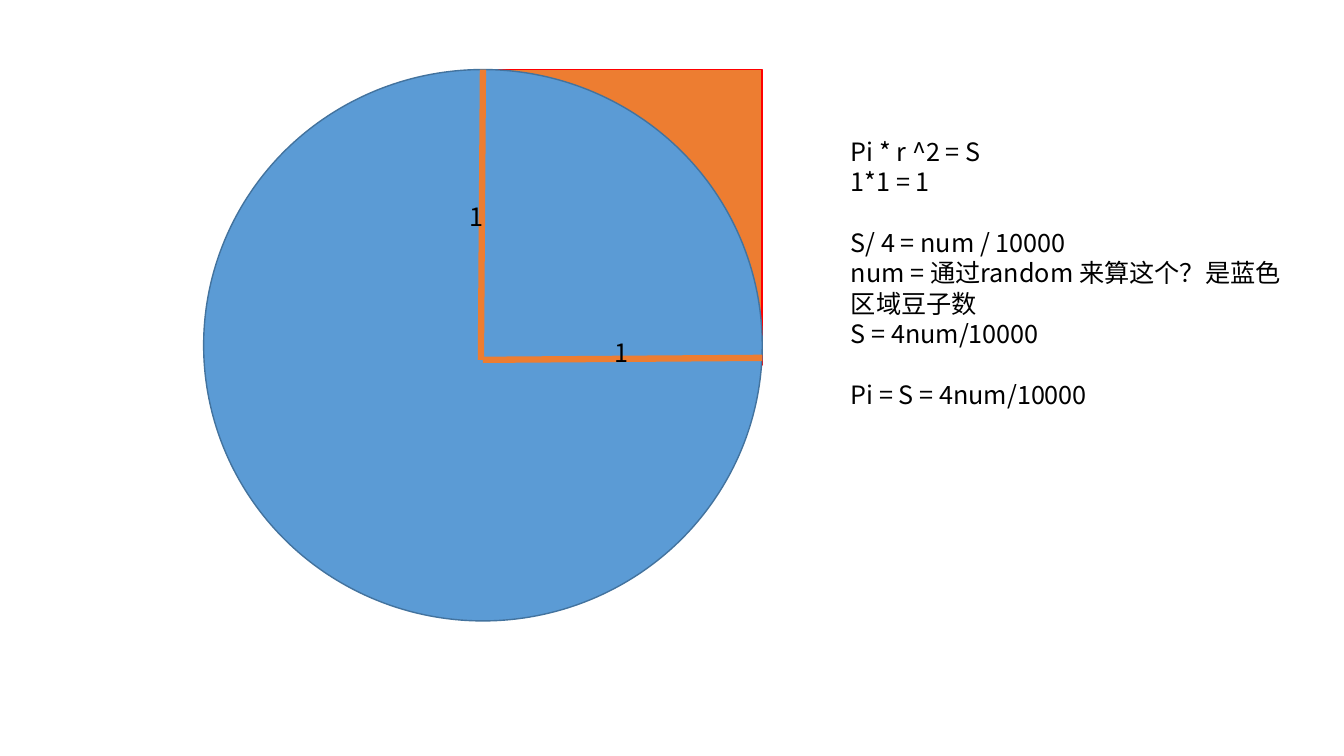
"""Build a slide on estimating Pi with random points in a quarter circle."""
from lxml.etree import SubElement
from pptx import Presentation
from pptx.dml.color import RGBColor
from pptx.enum.shapes import MSO_CONNECTOR as CONNECTOR, MSO_SHAPE as SHAPE
from pptx.enum.text import MSO_AUTO_SIZE as AUTO_SIZE
from pptx.oxml.ns import qn
from pptx.util import Inches, Pt

BLACK = RGBColor(0x00, 0x00, 0x00)
RED = RGBColor(0xFF, 0x00, 0x00)
ORANGE = RGBColor(0xED, 0x7D, 0x31)
BLUE = RGBColor(0x5B, 0x9B, 0xD5)
DARK_BLUE = RGBColor(0x43, 0x73, 0x9E)
FONT = "Noto Sans CJK SC"
LINE_PITCH = Pt(21.7)

FORMULA_GROUPS = [
    ["Pi * r ^2 = S", "1*1 = 1"],
    ["S/ 4 = num / 10000", "num = 通过random 来算这个？是蓝色区域豆子数", "S = 4num/10000"],
    ["Pi = S = 4num/10000"],
]


def add_figure(slide, kind, left, top, width, height, fill, outline):
    """Add a filled preset shape with a thin outline."""
    shape = slide.shapes.add_shape(
        kind, Inches(left), Inches(top), Inches(width), Inches(height))
    shape.shadow.inherit = False
    shape.fill.solid()
    shape.fill.fore_color.rgb = fill
    shape.line.color.rgb = outline
    shape.line.width = Pt(1)


def add_radius(slide, start, end):
    """Add a thick orange radius line between two points."""
    radius = slide.shapes.add_connector(
        CONNECTOR.STRAIGHT, *(Inches(value) for value in start + end))
    radius.line.color.rgb = ORANGE
    radius.line.width = Pt(4.5)
    SubElement(radius._element.spPr, qn("a:effectLst"))


def add_text(slide, left, top, width, height, groups, wrap=True):
    """Add a text box whose paragraph groups are one line apart."""
    box = slide.shapes.add_textbox(
        Inches(left), Inches(top), Inches(width), Inches(height))
    frame = box.text_frame
    frame.word_wrap = wrap
    frame.auto_size = AUTO_SIZE.SHAPE_TO_FIT_TEXT
    frame.text = "\n".join(line for group in groups for line in group)
    group_starts = [group[0] for group in groups[1:]]
    for paragraph in frame.paragraphs:
        paragraph.line_spacing = LINE_PITCH
        if paragraph.text in group_starts:
            paragraph.space_before = LINE_PITCH
        for run in paragraph.runs:
            run.font.size = Pt(18)
            run.font.color.rgb = BLACK
            run.font.name = FONT
            SubElement(run.font._element, qn("a:ea"), typeface=FONT)


def main():
    """Build and save the slide."""
    presentation = Presentation()
    presentation.slide_width = Inches(13.33)
    presentation.slide_height = Inches(7.5)
    slide = presentation.slides.add_slide(presentation.slide_layouts[6])

    add_figure(slide, SHAPE.RECTANGLE, 4.79, 0.69, 2.77, 2.93, ORANGE, RED)
    add_figure(slide, SHAPE.OVAL, 2.02, 0.69, 5.54, 5.47, BLUE, DARK_BLUE)
    add_radius(slide, (4.79, 3.57), (7.56, 3.55))
    add_radius(slide, (4.77, 3.57), (4.79, 0.69))
    for left, top in [(6, 3.3), (4.56, 1.95)]:
        add_text(slide, left, top, 0.34, 0.4, [["1"]], wrap=False)
    add_text(slide, 8.34, 1.3, 4.52, 3.13, FORMULA_GROUPS)

    presentation.save("out.pptx")


if __name__ == "__main__":
    main()
